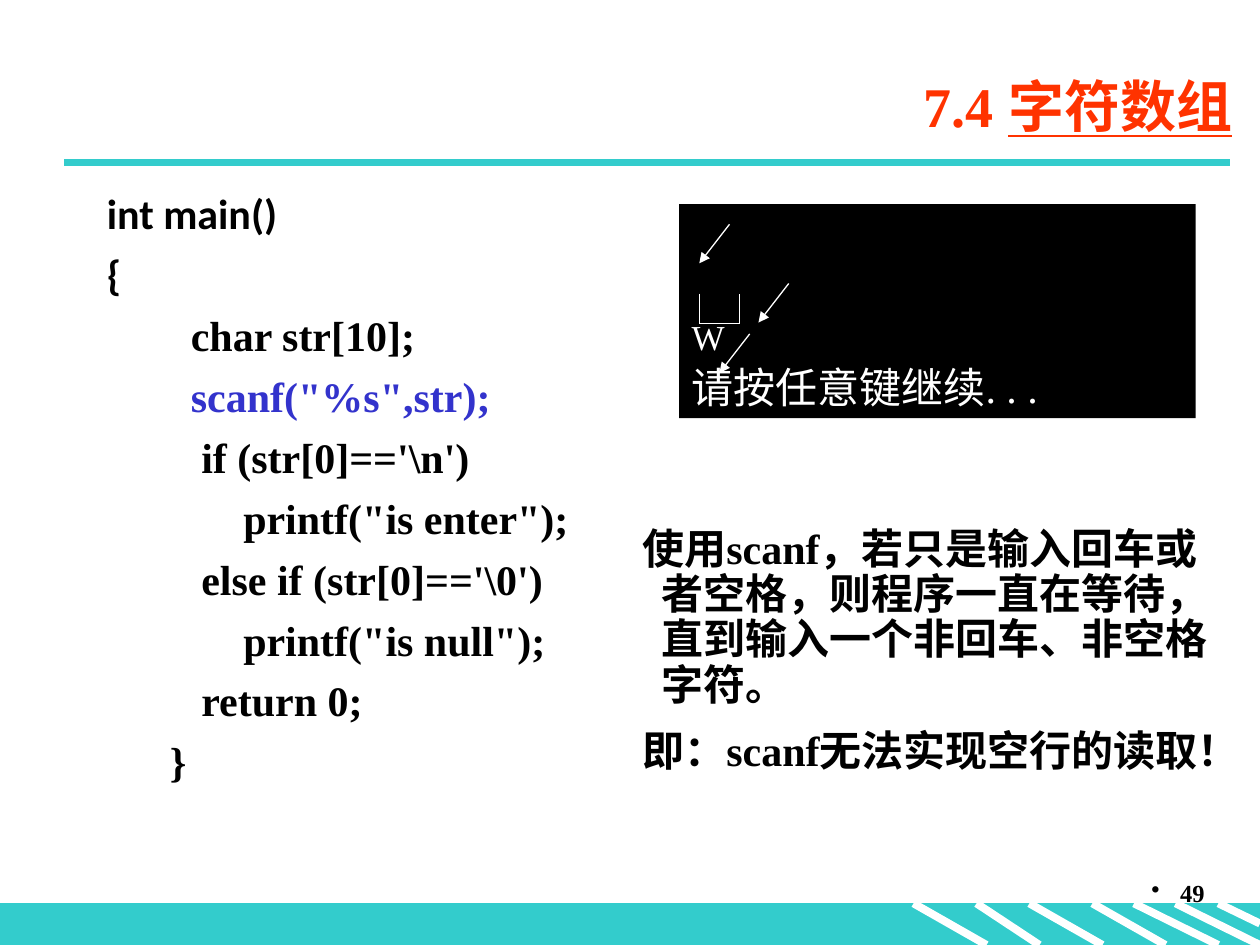
"""Build the slide on character arrays and reading empty lines with scanf."""
import dataclasses

import pptx
import pptx.dml.color
import pptx.enum.shapes
import pptx.enum.text
import pptx.oxml.ns
import pptx.util
from lxml import etree
from pptx.util import Inches


@dataclasses.dataclass(frozen=True)
class Theme:
    accent: str = "33CCCC"
    title: str = "FF3300"
    highlight: str = "3333CC"
    ink: str = "000000"
    paper: str = "FFFFFF"
    serif: str = "Times New Roman"
    sans: str = "Calibri"
    title_size: int = 32
    text_size: int = 24
    output_size: int = 20
    number_size: int = 14


theme = Theme()
RIGHT = pptx.enum.text.PP_ALIGN.RIGHT
LEFT = pptx.enum.text.PP_ALIGN.LEFT


def add_text(frame, text, *, size=theme.text_size, font=theme.serif, color=theme.ink,
             bold=True, underline=None, align=LEFT, margin=0, indent=0, before=0,
             spacing=1.0, bullet=None, same_line=False):
    starts_frame = not frame.text
    if starts_frame or same_line:
        paragraph = frame.paragraphs[-1]
    else:
        paragraph = frame.add_paragraph()
    if not same_line:
        paragraph.alignment = align
        paragraph.line_spacing = spacing
        paragraph.space_before = pptx.util.Pt(0 if starts_frame else before)
        properties = paragraph._p.get_or_add_pPr()
        properties.set("marL", str(Inches(margin)))
        properties.set("indent", str(Inches(indent)))
        if bullet:
            etree.SubElement(properties, pptx.oxml.ns.qn("a:buChar"), char=bullet)
    run = paragraph.add_run()
    run.text = text
    run.font.size = pptx.util.Pt(size)
    run.font.name = font
    run.font.bold = bold
    run.font.underline = underline
    run.font.color.rgb = pptx.dml.color.RGBColor.from_string(color)


def add_line(shapes, start, end, color, width, arrow=False):
    connector = shapes.add_connector(
        pptx.enum.shapes.MSO_CONNECTOR.STRAIGHT,
        Inches(start[0]), Inches(start[1]), Inches(end[0]), Inches(end[1]))
    connector.line.color.rgb = pptx.dml.color.RGBColor.from_string(color)
    connector.line.width = pptx.util.Pt(width)
    if arrow:
        etree.SubElement(connector.line._get_or_add_ln(),
                         pptx.oxml.ns.qn("a:tailEnd"), type="triangle")
    etree.SubElement(connector._element.spPr, pptx.oxml.ns.qn("a:effectLst"))


presentation = pptx.Presentation()
presentation.slide_width = Inches(10)
presentation.slide_height = Inches(7.5)
slide = presentation.slides.add_slide(presentation.slide_layouts[5])
shapes = slide.shapes

footer = shapes.add_shape(pptx.enum.shapes.MSO_SHAPE.RECTANGLE,
                          Inches(0), Inches(7.17), Inches(10), Inches(0.33))
footer.shadow.inherit = False
footer.fill.solid()
footer.fill.fore_color.rgb = pptx.dml.color.RGBColor.from_string(theme.accent)
footer.line.color.rgb = pptx.dml.color.RGBColor.from_string(theme.accent)
footer.line.width = pptx.util.Pt(0.75)

stripes = [(7.25, 7.83, 7.5), (7.75, 8.25, 7.5), (8.17, 8.75, 7.5), (8.67, 9.25, 7.5),
           (9, 9.67, 7.5), (9.33, 10, 7.5), (9.67, 10, 7.33)]
for left, right, bottom in stripes:
    add_line(shapes, (left, 7.17), (right, bottom), theme.paper, 4.5)
add_line(shapes, (0.51, 1.29), (9.76, 1.29), theme.accent, 4.5)

title = shapes.title
title.left, title.top = Inches(1.38), Inches(0.44)
title.width, title.height = Inches(8.5), Inches(0.79)
title.text_frame.auto_size = pptx.enum.text.MSO_AUTO_SIZE.NONE
title.text_frame.vertical_anchor = pptx.enum.text.MSO_ANCHOR.MIDDLE
title_format = dict(size=theme.title_size, color=theme.title)
add_text(title.text_frame, "7.4 ", align=RIGHT, **title_format)
add_text(title.text_frame, "字符数组", underline=True, same_line=True, **title_format)

number = shapes.add_textbox(Inches(7.58), Inches(6.92), Inches(2.08), Inches(0.5))
number.text_frame.word_wrap = True
add_text(number.text_frame, "49", size=theme.number_size, align=RIGHT,
         margin=0.23, indent=-0.23, bullet="•")

code = shapes.add_textbox(Inches(0.75), Inches(1.44), Inches(8.5), Inches(5.04))
code.text_frame.word_wrap = True
for text in ("int main()", "{"):
    add_text(code.text_frame, text, font=theme.sans, before=6)
body_lines = [
    "  char str[10];",
    '  scanf("%s",str);',
    r"   if (str[0]=='\n')",
    '       printf("is enter");',
    r"   else if (str[0]=='\0')",
    '       printf("is null");',
    "   return 0;",
    "}",
]
for text in body_lines:
    color = theme.highlight if "scanf" in text else theme.ink
    add_text(code.text_frame, text, color=color, margin=0.81, indent=-0.31, before=6)

explanation = shapes.add_textbox(Inches(4.77), Inches(4.14), Inches(5.08), Inches(2.12))
explanation.text_frame.word_wrap = True
for text in ("使用scanf，若只是输入回车或者空格，则程序一直在等待，直到输入一个非回车、非空格字符。",
             "即：scanf无法实现空行的读取！"):
    add_text(explanation.text_frame, text, margin=0.38, indent=-0.15,
             before=12, spacing=0.9)

console = shapes.add_shape(pptx.enum.shapes.MSO_SHAPE.RECTANGLE,
                           Inches(5.39), Inches(1.62), Inches(4.1), Inches(1.7))
console.shadow.inherit = False
console.fill.solid()
console.fill.fore_color.rgb = pptx.dml.color.RGBColor.from_string(theme.ink)
console.line.fill.background()
console.text_frame.word_wrap = True
console.text_frame.vertical_anchor = pptx.enum.text.MSO_ANCHOR.BOTTOM
for text, size in (("W", theme.output_size), ("请按任意键继续. . .", theme.text_size)):
    add_text(console.text_frame, text, size=size, color=theme.paper, bold=False,
             before=5, spacing=0.9)

for left, top in ((5.55, 1.78), (6.02, 2.25), (5.71, 2.65)):
    add_line(shapes, (left + 0.24, top), (left, top + 0.31), theme.paper, 0.75, arrow=True)
space_mark = [(5.55, 2.33), (5.55, 2.57), (5.87, 2.57), (5.87, 2.33)]
for start, end in zip(space_mark, space_mark[1:]):
    add_line(shapes, start, end, theme.paper, 0.75)

presentation.save("out.pptx")
